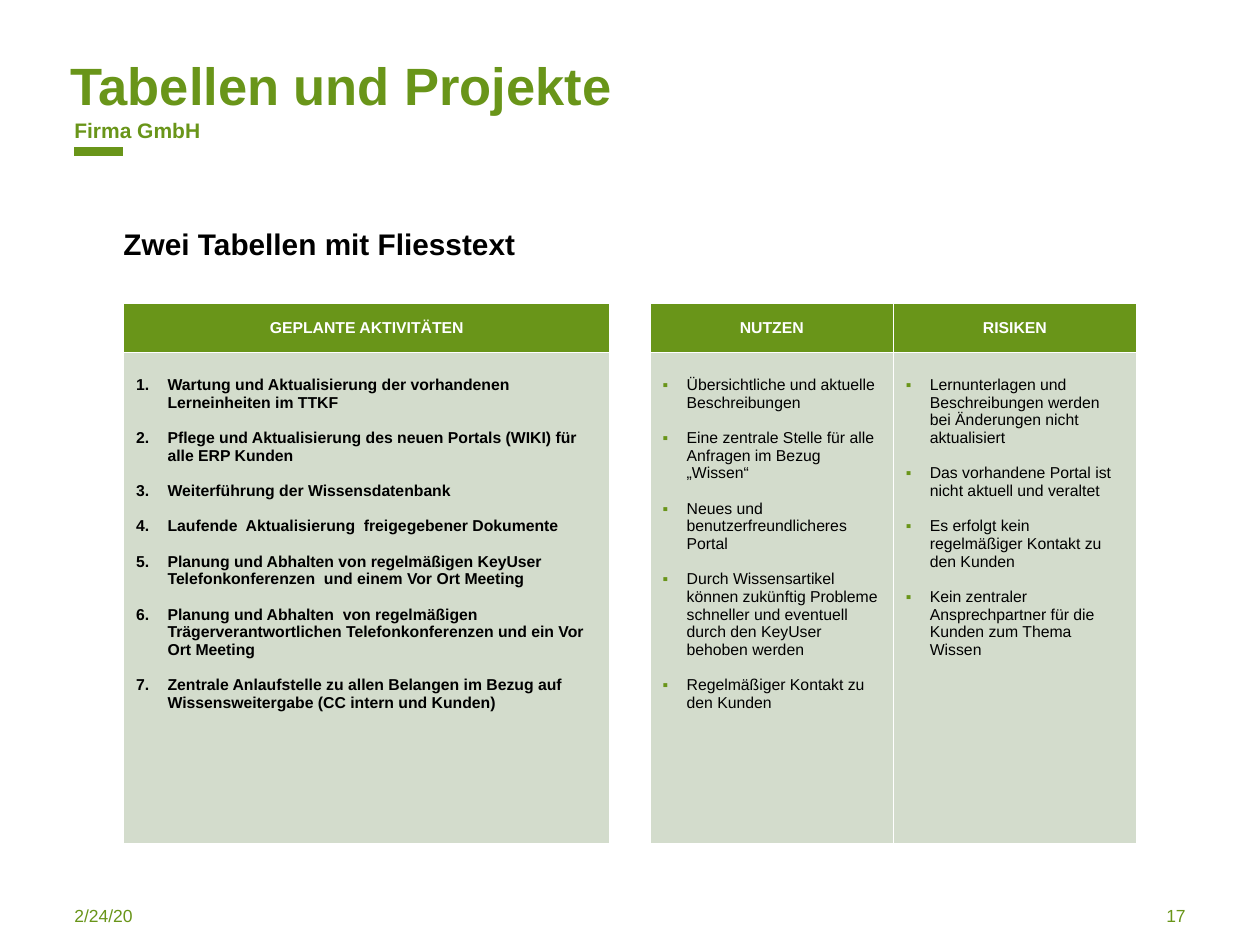
from collections import namedtuple

from lxml.etree import SubElement
from pptx import Presentation
from pptx.dml.color import RGBColor
from pptx.enum.shapes import MSO_CONNECTOR
from pptx.enum.text import MSO_ANCHOR, MSO_AUTO_SIZE, PP_ALIGN
from pptx.oxml.ns import qn
from pptx.util import Inches, Pt

GREEN = RGBColor(0x69, 0x95, 0x19)
PALE_GREEN = RGBColor(0xD3, 0xDC, 0xCC)
BLACK = RGBColor(0, 0, 0)
WHITE = RGBColor(0xFF, 0xFF, 0xFF)
FONT = "Arial"

SLIDE_WIDTH, SLIDE_HEIGHT = Inches(10), Inches(7.5)
LINE_HEIGHT = 10.1  # points, one line of table text

# Boxes are given in percent of the slide's width and height
Box = namedtuple("Box", "left top width height")
BRAND_BOX = Box(5.9, 12.4, 44.1, 2.67)
TITLE_BOX = Box(5.6, 5.6, 74, 6.67)
SUBTITLE_BOX = Box(9.8, 23.87, 80.4, 3.87)
TABLES_BOX = Box(9.8, 32.13, 80.4, 57.2)
FOOTER_BOX = Box(5.9, 95.73, 88.2, 3.33)
TABLE_GAP = 3.2
HEADER_SHARE = 0.09

ACTIVITIES = [
    ("GEPLANTE AKTIVITÄTEN", [
        "Wartung und Aktualisierung der vorhandenen Lerneinheiten im TTKF",
        "Pflege und Aktualisierung des neuen Portals (WIKI) für alle ERP Kunden",
        "Weiterführung der Wissensdatenbank",
        "Laufende  Aktualisierung  freigegebener Dokumente",
        "Planung und Abhalten von regelmäßigen KeyUser Telefonkonferenzen  und einem Vor Ort Meeting",
        "Planung und Abhalten  von regelmäßigen Trägerverantwortlichen Telefonkonferenzen "
        "und ein Vor Ort Meeting",
        "Zentrale Anlaufstelle zu allen Belangen im Bezug auf Wissensweitergabe "
        "(CC intern und Kunden)",
    ]),
]
ASSESSMENT = [
    ("NUTZEN", [
        "Übersichtliche und aktuelle Beschreibungen",
        "Eine zentrale Stelle für alle Anfragen im Bezug „Wissen“",
        "Neues und benutzerfreundlicheres Portal",
        "Durch Wissensartikel können zukünftig Probleme schneller und eventuell "
        "durch den KeyUser behoben werden",
        "Regelmäßiger Kontakt zu den Kunden",
    ]),
    ("RISIKEN", [
        "Lernunterlagen und Beschreibungen werden bei Änderungen nicht aktualisiert",
        "Das vorhandene Portal ist nicht aktuell und veraltet",
        "Es erfolgt kein regelmäßiger Kontakt zu den Kunden",
        "Kein zentraler Ansprechpartner für die Kunden zum Thema Wissen",
    ]),
]


def across(percent):
    return int(SLIDE_WIDTH * percent / 100)


def down(percent):
    return int(SLIDE_HEIGHT * percent / 100)


def place(box):
    return across(box.left), down(box.top), across(box.width), down(box.height)


def format_runs(paragraph, size, color, bold=False):
    for run in paragraph.runs:
        run.font.name, run.font.size, run.font.bold = FONT, Pt(size), bold
        run.font.color.rgb = color


def fill_text(shape, text, size, color, bold=False, align=PP_ALIGN.LEFT, anchor=MSO_ANCHOR.TOP):
    frame = shape.text_frame
    frame.text = text
    frame.word_wrap = True
    frame.auto_size = MSO_AUTO_SIZE.NONE
    frame.vertical_anchor = anchor
    frame.margin_left = frame.margin_right = frame.margin_top = frame.margin_bottom = 0
    paragraph = frame.paragraphs[0]
    paragraph.alignment = align
    paragraph.space_before = Pt(0)
    format_runs(paragraph, size, color, bold)


def fill_placeholder(shape, box, text, size, color):
    shape.left, shape.top, shape.width, shape.height = place(box)
    fill_text(shape, text, size, color, bold=True)


def add_brand(slide, box):
    """Company line with the short bar below it."""
    fill_text(slide.shapes.add_textbox(*place(box)), "Firma GmbH", 12, GREEN,
              bold=True, anchor=MSO_ANCHOR.BOTTOM)
    bar_top = down(box.top + 1.35 * box.height)
    bar = slide.shapes.add_connector(MSO_CONNECTOR.STRAIGHT, across(box.left), bar_top,
                                     across(box.left + 3.9), bar_top)
    bar.line.color.rgb, bar.line.width = GREEN, Pt(5)
    SubElement(bar.element.spPr, qn("a:effectLst"))


def add_bullet(paragraph, indent, color, numbered):
    properties = paragraph._p.get_or_add_pPr()
    properties.set("marL", str(Inches(indent)))
    properties.set("indent", str(-Inches(indent)))
    bullet_color = SubElement(properties, qn("a:buClr"))
    SubElement(bullet_color, qn("a:srgbClr"), val=str(color))
    SubElement(properties, qn("a:buFont"), typeface=FONT)
    if numbered:
        SubElement(properties, qn("a:buAutoNum"), type="arabicPeriod")
    else:
        SubElement(properties, qn("a:buChar"), char="▪")


def style_cell(cell, color):
    properties = cell._tc.get_or_add_tcPr()
    for side in ("lnL", "lnR", "lnT", "lnB"):
        border = SubElement(properties, qn(f"a:{side}"), w=str(Pt(0.96)))
        SubElement(SubElement(border, qn("a:solidFill")), qn("a:srgbClr"), val=str(WHITE))
    cell.fill.solid()
    cell.fill.fore_color.rgb = color
    cell.margin_left = cell.margin_right = Inches(0.1)
    cell.margin_top = cell.margin_bottom = Inches(0.05)


def fill_header(cell, text):
    style_cell(cell, GREEN)
    cell.vertical_anchor = MSO_ANCHOR.MIDDLE
    cell.text_frame.text = text
    paragraph = cell.text_frame.paragraphs[0]
    paragraph.alignment = PP_ALIGN.CENTER
    format_runs(paragraph, 9, WHITE, bold=True)


def fill_list(cell, items, numbered):
    style_cell(cell, PALE_GREEN)
    cell.margin_top = Inches(0.05) + Pt(LINE_HEIGHT)
    cell.text_frame.text = "\n".join(items)
    indent, bullet_color = (0.25, BLACK) if numbered else (0.19, GREEN)
    for index, paragraph in enumerate(cell.text_frame.paragraphs):
        add_bullet(paragraph, indent, bullet_color, numbered)
        paragraph.space_before = Pt(LINE_HEIGHT if index else 0)
        format_runs(paragraph, 9, BLACK, bold=numbered)


def add_list_table(slide, box, columns, numbered=False):
    """Header row above one tall row of lists."""
    table = slide.shapes.add_table(2, len(columns), *place(box)).table
    table.horz_banding = False
    header_height = int(down(box.height) * HEADER_SHARE)
    table.rows[0].height = header_height
    table.rows[1].height = down(box.height) - header_height
    for index, (heading, items) in enumerate(columns):
        table.columns[index].width = across(box.width / len(columns))
        fill_header(table.cell(0, index), heading)
        fill_list(table.cell(1, index), items, numbered)


def add_tables(slide, box):
    """Two equal tables side by side."""
    width = (box.width - TABLE_GAP) / 2
    left_box = box._replace(width=width)
    right_box = left_box._replace(left=box.left + width + TABLE_GAP)
    add_list_table(slide, left_box, ACTIVITIES, numbered=True)
    add_list_table(slide, right_box, ASSESSMENT)


def add_footer(slide, box):
    """Date at the left edge, page number at the right edge."""
    width = box.width / 4
    date_box = box._replace(width=width)
    number_box = date_box._replace(left=box.left + box.width - width)
    fill_text(slide.shapes.add_textbox(*place(date_box)), "2/24/20", 10, GREEN)
    fill_text(slide.shapes.add_textbox(*place(number_box)), "17", 10, GREEN, align=PP_ALIGN.RIGHT)


def main():
    presentation = Presentation()
    presentation.slide_width, presentation.slide_height = SLIDE_WIDTH, SLIDE_HEIGHT
    slide = presentation.slides.add_slide(presentation.slide_layouts[0])
    fill_placeholder(slide.shapes.title, TITLE_BOX, "Tabellen und Projekte", 30, GREEN)
    fill_placeholder(slide.placeholders[1], SUBTITLE_BOX, "Zwei Tabellen mit Fliesstext", 17, BLACK)
    add_brand(slide, BRAND_BOX)
    add_tables(slide, TABLES_BOX)
    add_footer(slide, FOOTER_BOX)
    presentation.save("out.pptx")


if __name__ == "__main__":
    main()
